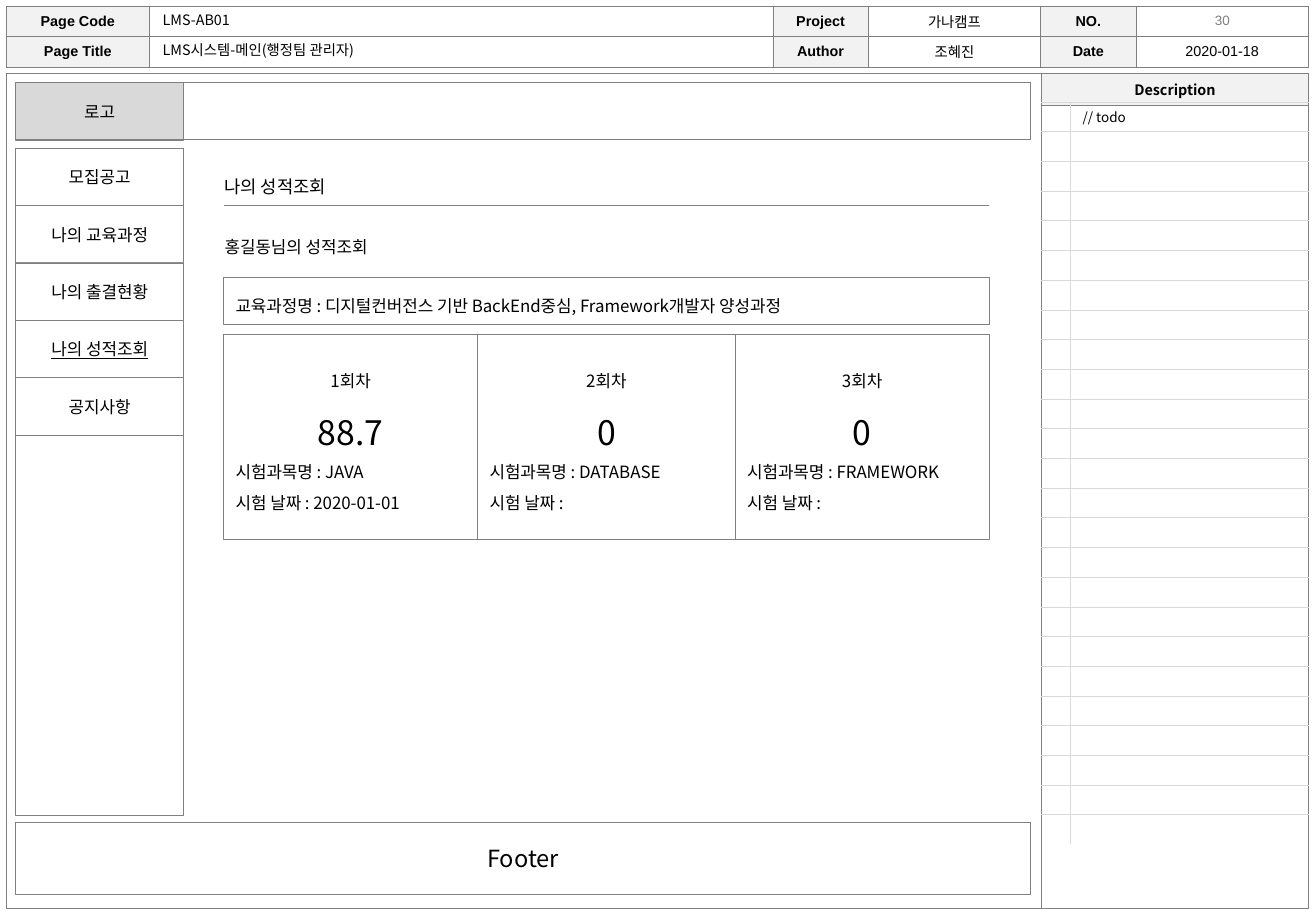
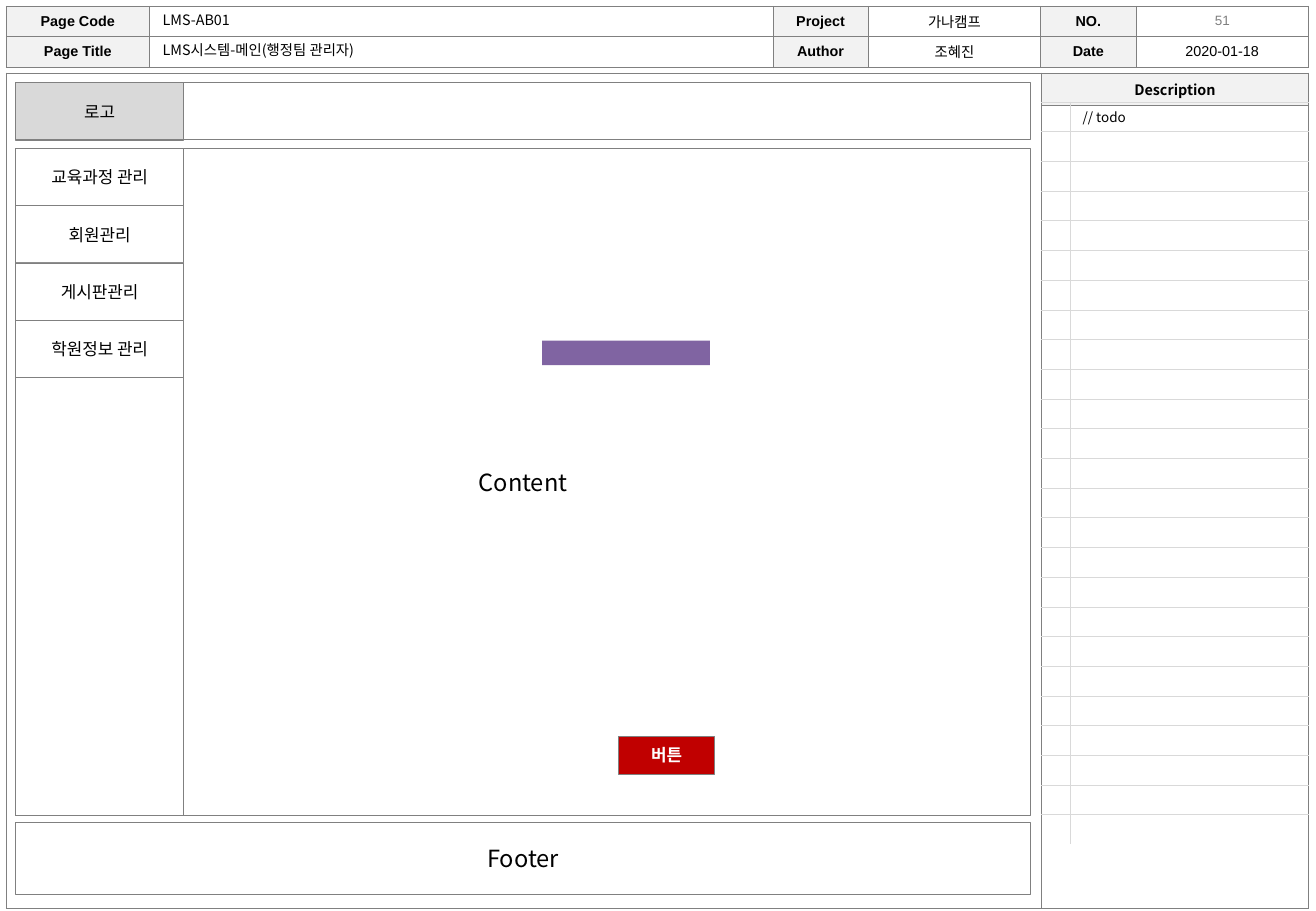
import pptx
import pptx.util
import pptx.dml.color
import pptx.enum.shapes
import pptx.enum.text
import pptx.oxml.ns
import lxml.etree

WIDE, HIGH = 10.83, 7.5
SANS, ARIAL = "Noto Sans CJK KR", "Arial"
BLACK, WHITE, GRAY = "000000", "FFFFFF", "808080"
PALE, RULE, LOGO, DIM = "F2F2F2", "D9D9D9", "D9D9D9", "7F7F7F"
RED, PURPLE = "C00000", "8064A2"
LEFT, MAIN, SIDE, STEP = 1.2, 77.1, 12.74, 6.3
TOP, BODY, TALL = 9.07, 16.27, 73.2
EDGE, PANEL = 0.46, 16.99
ALIGN = pptx.enum.text.PP_ALIGN
MIDDLE = pptx.enum.text.MSO_ANCHOR.MIDDLE


def across(share):
    """Turn a percentage of the slide's width into a length."""
    return pptx.util.Inches(WIDE * share / 100)


def down(share):
    """Turn a percentage of the slide's height into a length."""
    return pptx.util.Inches(HIGH * share / 100)


def place(left, top, width, height):
    """Turn a box given in percentages into four lengths."""
    return across(left), down(top), across(width), down(height)


def color(code):
    """Make a colour from a hex string."""
    return pptx.dml.color.RGBColor.from_string(code)


def child(parent, tag, **attrs):
    """Append a drawing element to a parent."""
    return lxml.etree.SubElement(parent, pptx.oxml.ns.qn(tag), attrs)


def write(para, text, size=10, hue=BLACK, face=SANS, align=ALIGN.CENTER, space=None, **extra):
    """Fill one paragraph with one formatted run."""
    para.alignment = align
    if space:
        para.line_spacing = space
    run = para.add_run()
    run.text = text
    form = {"size": pptx.util.Pt(size), "name": face, **extra}
    for key, value in form.items():
        setattr(run.font, key, value)
    run.font.color.rgb = color(hue)
    child(run.font._element, "a:ea", typeface=SANS)


def box(slide, area, lines=(), fill=WHITE, edge=GRAY, weight=0.5):
    """Draw a rectangle holding (text, format) lines."""
    shape = slide.shapes.add_shape(pptx.enum.shapes.MSO_SHAPE.RECTANGLE, *place(*area))
    shape.shadow.inherit = False
    shape.fill.solid()
    shape.fill.fore_color.rgb = color(fill)
    if edge:
        shape.line.color.rgb = color(edge)
        shape.line.width = pptx.util.Pt(weight)
    else:
        shape.line.fill.background()
    frame = shape.text_frame
    frame.word_wrap = True
    frame.vertical_anchor = MIDDLE
    for index, (text, form) in enumerate(lines):
        para = frame.add_paragraph() if index else frame.paragraphs[0]
        write(para, text, **form)


def label(slide, area, text, **form):
    """Place free text in a box."""
    frame = slide.shapes.add_textbox(*place(*area)).text_frame
    frame.word_wrap = True
    write(frame.paragraphs[0], text, **{"align": ALIGN.LEFT, **form})


def line(slide, left, right, top):
    """Draw a horizontal rule."""
    rule = slide.shapes.add_connector(
        pptx.enum.shapes.MSO_CONNECTOR.STRAIGHT,
        across(left), down(top), across(right), down(top))
    rule.line.color.rgb = color(GRAY)
    rule.line.width = pptx.util.Pt(0.5)
    child(rule._element.spPr, "a:effectLst")


def border(cell, sides, hue, weight):
    """Draw the named sides of a cell and clear the others."""
    props = cell._tc.get_or_add_tcPr()
    for side in "LRTB":
        edge = child(props, "a:ln" + side, w=str(pptx.util.Pt(weight)))
        if side in sides:
            child(child(edge, "a:solidFill"), "a:srgbClr", val=hue)
        else:
            child(edge, "a:noFill")


def table(slide, left, top, cols, rows, cells, sides, hue, weight, pad=0.04):
    """Build a table; cells maps (row, col) to (text, fill, format)."""
    area = place(left, top, sum(cols), sum(rows))
    grid = slide.shapes.add_table(len(rows), len(cols), *area).table
    grid.first_row = grid.horz_banding = False
    for col, share in zip(grid.columns, cols):
        col.width = across(share)
    for row, share in zip(grid.rows, rows):
        row.height = down(share)
    for r in range(len(rows)):
        for c in range(len(cols)):
            cell = grid.cell(r, c)
            border(cell, sides(r, c), hue, weight)
            cell.margin_top = cell.margin_bottom = pptx.util.Inches(pad)
            cell.vertical_anchor = MIDDLE
            text, fill, form = cells.get((r, c), ("", None, {}))
            if fill:
                cell.fill.solid()
                cell.fill.fore_color.rgb = color(fill)
            else:
                cell.fill.background()
            para = cell.text_frame.paragraphs[0]
            if text:
                write(para, text, **form)
            else:
                child(para._p, "a:endParaRPr", sz="800")


def header(slide, number):
    """Draw the page details at the top."""
    head = {"size": 8.5, "face": ARIAL, "bold": True}
    plain = {**head, "bold": False}
    words = [["Page Code", "", "Project", "가나캠프", "NO.", ""],
             ["Page Title", "", "Author", "조혜진", "Date", "2020-01-18"]]
    cells = {(r, c): (text, None if c % 2 else PALE, plain if c % 2 else head)
             for r, row in enumerate(words) for c, text in enumerate(row)}
    cols = [10.9, 47.37] + [7.25, 13.1] * 2
    table(slide, EDGE, 0.67, cols, [3.2] * 2, cells, lambda r, c: "LRTB", GRAY, 0.25)
    label(slide, (86.33, 0.67, 13.1, 3.2), number,
          size=8, hue=DIM, face=ARIAL, align=ALIGN.CENTER)
    for top, text in ((0.53, "LMS-AB01"), (3.87, "LMS시스템-메인(행정팀 관리자)")):
        label(slide, (11.45, top, 47.28, 3.2), text, size=8.5)


def notes(slide):
    """Draw the outer frame and the description column."""
    title = ("Description", PALE, {"size": 8.5, "bold": True})
    outer = {(0, 0): "LRT", (1, 0): "LRB"}
    table(slide, EDGE, 8, [78.67, 20.31], [3.6, 88.13], {(0, 1): title},
          lambda r, c: outer.get((r, c), "LRTB"), GRAY, 0.25, 0.05)
    count = 25
    todo = ("// todo", None, {"size": 8, "align": ALIGN.LEFT})
    table(slide, 79.13, 11.2, [2.2, 18.15], [3.26] * count, {(0, 1): todo},
          lambda r, c: "RL"[c] + ("TB" if r < count - 1 else "T"), RULE, 0.5)


def page(deck, number, menu, chosen=None, content=None):
    """Add a slide with the shared frame and a side menu."""
    slide = deck.slides.add_slide(deck.slide_layouts[6])
    header(slide, number)
    notes(slide)
    if content:
        box(slide, (LEFT, BODY, MAIN, TALL), [(content, {"size": 14})])
    box(slide, (LEFT, 90.27, MAIN, 7.87), [("Footer", {"size": 14})])
    box(slide, (LEFT, TOP, MAIN, STEP))
    box(slide, (LEFT, TOP, SIDE, STEP), [("로고", {})], LOGO, weight=0.75)
    box(slide, (LEFT, BODY, SIDE, TALL))
    for index, text in enumerate(menu):
        form = {"underline": True} if text == chosen else {}
        box(slide, (LEFT, BODY + index * STEP, SIDE, STEP), [(text, form)])
    return slide


def scores(slide):
    """Draw the course name and one card for each test."""
    label(slide, (16.16, 18.67, 12, 3.73), "나의 성적조회", size=10.5)
    line(slide, PANEL, 75.16, 22.53)
    label(slide, (16.16, 25.33, 15, 3.6), "홍길동님의 성적조회")
    mid = {"space": 1.5}
    side = {**mid, "align": ALIGN.LEFT}
    course = "교육과정명 : 디지털컨버전스 기반 BackEnd중심, Framework개발자 양성과정"
    box(slide, (PANEL, 30.4, 58.17, 5.2), [(course, side)])
    tests = [(19.3, "1회차", "88.7", "JAVA", " 2020-01-01"),
             (19.57, "2회차", "0", "DATABASE", ""),
             (19.3, "3회차", "0", "FRAMEWORK", "")]
    left = PANEL
    for width, turn, score, name, date in tests:
        lines = [(turn, mid), (score, {**mid, "size": 20}),
                 ("시험과목명 : " + name, side), ("시험 날짜 :" + date, side)]
        box(slide, (left, 36.67, width, 22.53), lines)
        left += width


def main():
    """Build and save the deck."""
    deck = pptx.Presentation()
    deck.slide_width, deck.slide_height = across(100), down(100)
    grades = "나의 성적조회"
    menu = ["모집공고", "나의 교육과정", "나의 출결현황", grades, "공지사항"]
    scores(page(deck, "30", menu, chosen=grades))
    menu = ["교육과정 관리", "회원관리", "게시판관리", "학원정보 관리"]
    admin = page(deck, "51", menu, content="Content")
    box(admin, (47, 80.8, 7.3, 4.2), [("버튼", {"hue": WHITE, "bold": True})], RED)
    box(admin, (41.2, 37.4, SIDE, 2.67), fill=PURPLE, edge=None)
    deck.save("out.pptx")


if __name__ == "__main__":
    main()
